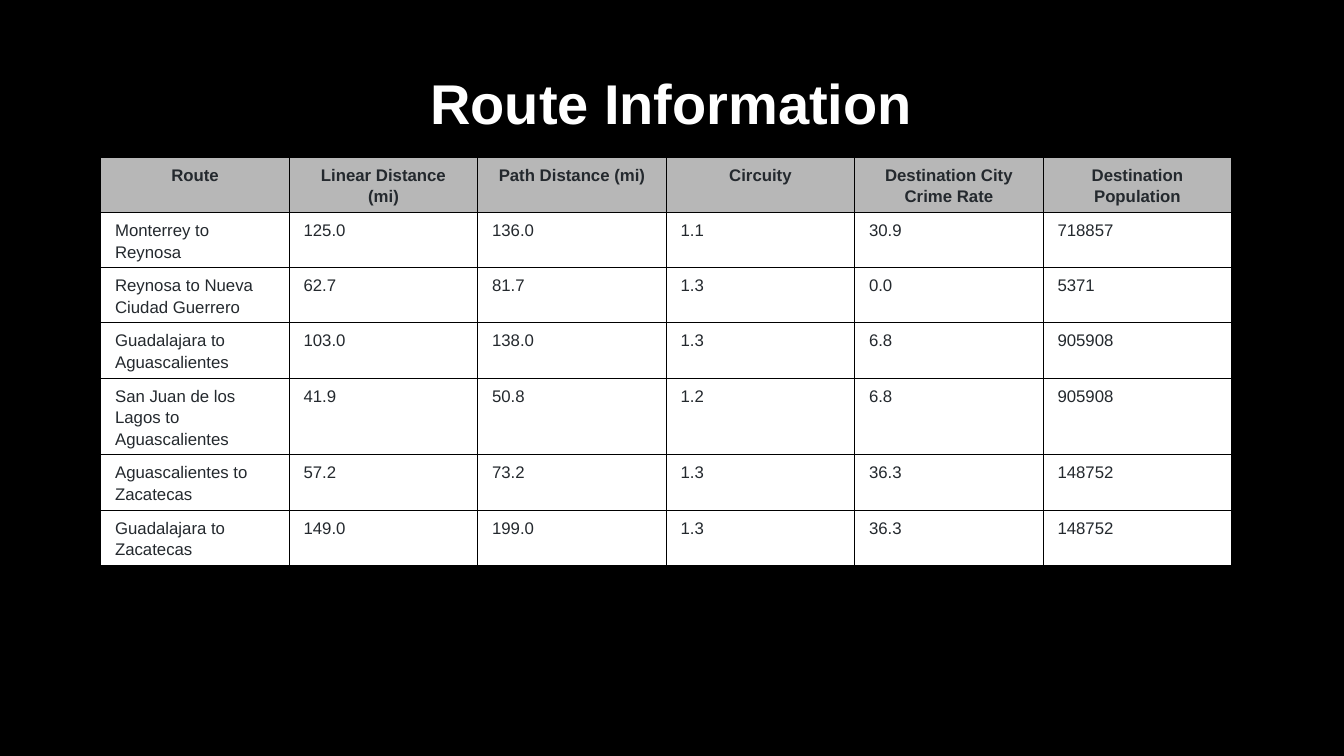
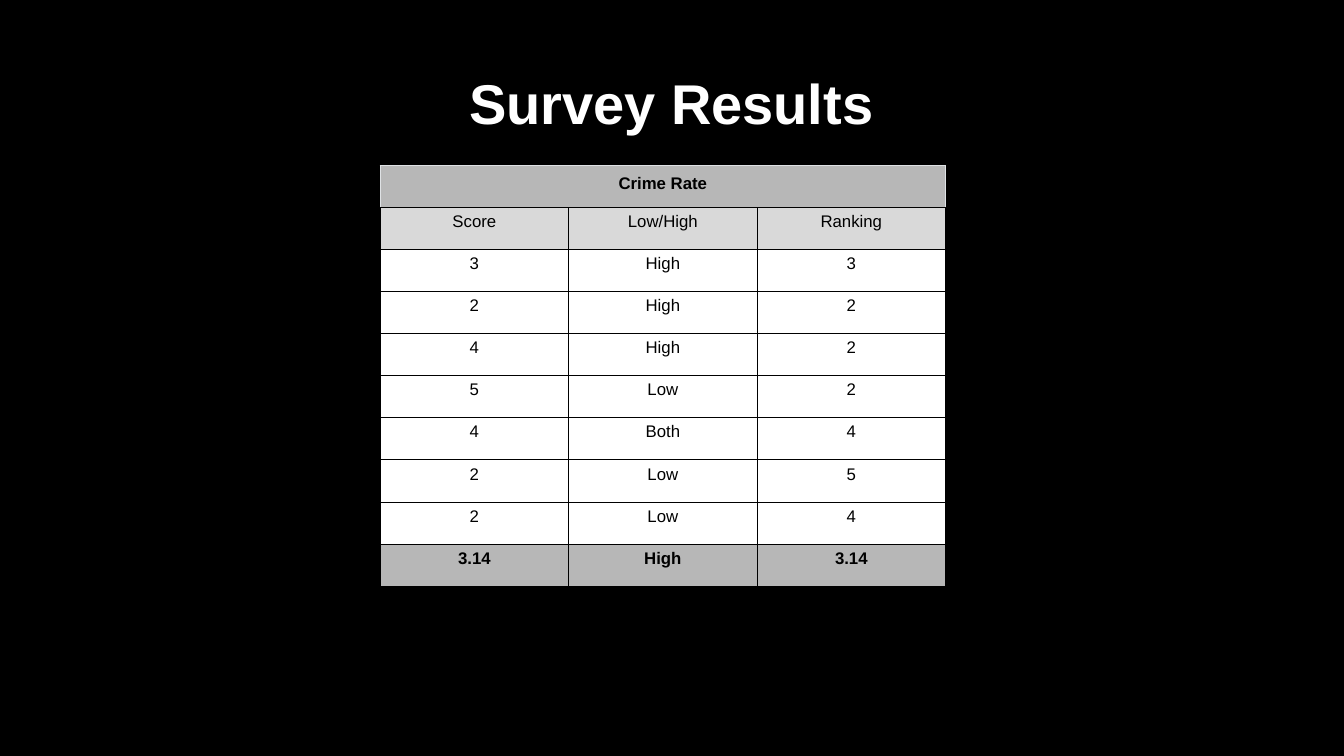
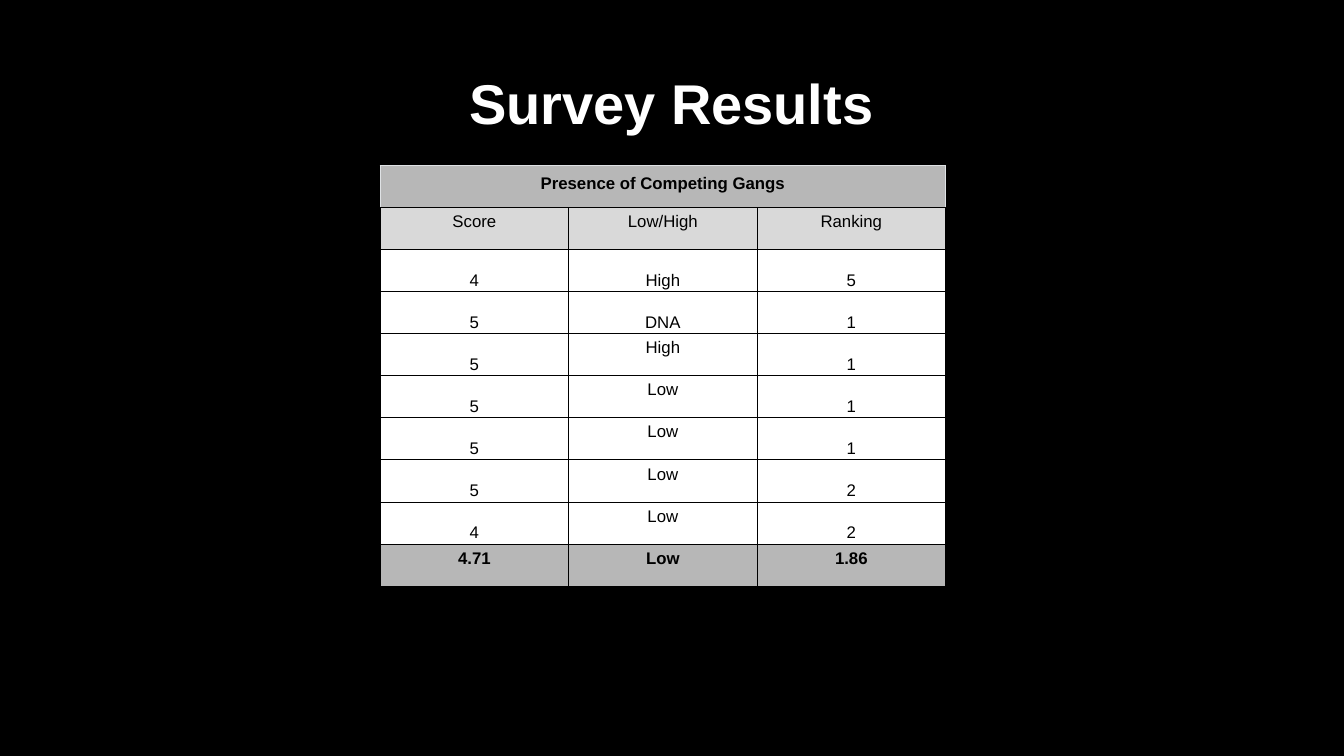
from lxml.etree import fromstring
from pptx import Presentation
from pptx.dml.color import RGBColor
from pptx.enum.text import MSO_ANCHOR, MSO_AUTO_SIZE, PP_ALIGN
from pptx.oxml.ns import nsdecls
from pptx.util import Cm, Pt

C = {"background": "000000", "title": "FFFFFF", "head": "B7B7B7", "subhead": "D9D9D9",
     "cell": "FFFFFF", "route": "24292E", "survey": "000000",
     "border": "000000", "light_border": "DFE2E5"}
FONT = "Arial"
WIDE, NARROW = (0.36, 0.15), (0.08, 0.05)
COL_W, ROW_H = 4.75, 1.06

prs = Presentation()
prs.slide_width, prs.slide_height = Cm(33.87), Cm(19.05)
fill = prs.slide_master.background.fill
fill.solid()
fill.fore_color.rgb = RGBColor.from_string(C["background"])


def add_table_slide(title, left, top, n_rows, n_cols):
    s = prs.slides.add_slide(prs.slide_layouts[5])
    sp = s.shapes.title
    sp.left, sp.top, sp.width, sp.height = Cm(2.54), Cm(0.84), Cm(28.75), Cm(3.68)
    tf = sp.text_frame
    tf.text = title
    tf.auto_size = MSO_AUTO_SIZE.NONE
    tf.vertical_anchor = MSO_ANCHOR.MIDDLE
    p = tf.paragraphs[0]
    p.alignment, p.line_spacing = PP_ALIGN.CENTER, 0.9
    f = p.runs[0].font
    f.name, f.size, f.bold = FONT, Pt(40), True
    f.color.rgb = RGBColor.from_string(C["title"])
    return s.shapes.add_table(n_rows, n_cols, Cm(left), Cm(top),
                              Cm(COL_W * n_cols), Cm(ROW_H * n_rows)).table


def style_cell(cell, text, fill, color, inset, bold=False, align=PP_ALIGN.CENTER,
               anchor=MSO_ANCHOR.TOP, edge="border"):
    cell.fill.solid()
    cell.fill.fore_color.rgb = RGBColor.from_string(C[fill])
    cell.margin_left = cell.margin_right = Cm(inset[0])
    cell.margin_top = cell.margin_bottom = Cm(inset[1])
    cell.vertical_anchor = anchor
    tcPr = cell._tc.get_or_add_tcPr()
    for i, (side, name) in enumerate([("L", edge), ("R", edge), ("T", edge), ("B", "border")]):
        tcPr.insert(i, fromstring(
            f'<a:ln{side} {nsdecls("a")} w="{Pt(0.75)}"><a:solidFill>'
            f'<a:srgbClr val="{C[name]}"/></a:solidFill></a:ln{side}>'))
    cell.text_frame.text = text
    p = cell.text_frame.paragraphs[0]
    p.alignment, p.line_spacing = align, 1.15
    if inset == WIDE:
        p.space_after = Pt(12)
    for r in p.runs:
        r.font.name, r.font.size, r.font.bold = FONT, Pt(12), bold
        r.font.color.rgb = RGBColor.from_string(C[color])


routes = [
    ["Route", "Linear Distance (mi)", "Path Distance (mi)", "Circuity",
     "Destination City Crime Rate", "Destination Population"],
    ["Monterrey to Reynosa", "125.0", "136.0", "1.1", "30.9", "718857"],
    ["Reynosa to Nueva Ciudad Guerrero", "62.7", "81.7", "1.3", "0.0", "5371"],
    ["Guadalajara to Aguascalientes", "103.0", "138.0", "1.3", "6.8", "905908"],
    ["San Juan de los Lagos to Aguascalientes", "41.9", "50.8", "1.2", "6.8", "905908"],
    ["Aguascalientes to Zacatecas", "57.2", "73.2", "1.3", "36.3", "148752"],
    ["Guadalajara to Zacatecas", "149.0", "199.0", "1.3", "36.3", "148752"],
]
table = add_table_slide("Route Information", 2.54, 3.96, len(routes), len(routes[0]))
for i, row in enumerate(routes):
    for j, text in enumerate(row):
        style_cell(table.cell(i, j), text, "cell" if i else "head", "route", WIDE,
                   bold=i == 0, align=PP_ALIGN.LEFT if i else PP_ALIGN.CENTER)

surveys = [
    ("Crime Rate", [
        ("3", "High", "3"), ("2", "High", "2"), ("4", "High", "2"), ("5", "Low", "2"),
        ("4", "Both", "4"), ("2", "Low", "5"), ("2", "Low", "4"),
        ("3.14", "High", "3.14")], set()),
    ("Presence of Competing Gangs", [
        ("4", "High", "5"), ("5", "DNA", "1"), ("5", "High", "1"), ("5", "Low", "1"),
        ("5", "Low", "1"), ("5", "Low", "2"), ("4", "Low", "2"),
        ("4.71", "Low", "1.86")],
     {(i, j) for i in range(2, 9) for j in range(3) if j != 1 or i < 4}),
]
for topic, answers, bottom_cells in surveys:
    rows = [(topic, "", ""), ("Score", "Low/High", "Ranking"), *answers]
    last = len(rows) - 1
    fills = {0: "head", 1: "subhead", last: "head"}
    table = add_table_slide("Survey Results", 9.58, 4.17, len(rows), 3)
    table.cell(0, 0).merge(table.cell(0, 2))
    for i, row in enumerate(rows):
        for j, text in enumerate(row):
            style_cell(table.cell(i, j), text, fills.get(i, "cell"), "survey",
                       NARROW if i else WIDE, bold=i in (0, last),
                       anchor=MSO_ANCHOR.BOTTOM if (i, j) in bottom_cells else MSO_ANCHOR.TOP,
                       edge="border" if i else "light_border")

prs.save("out.pptx")
